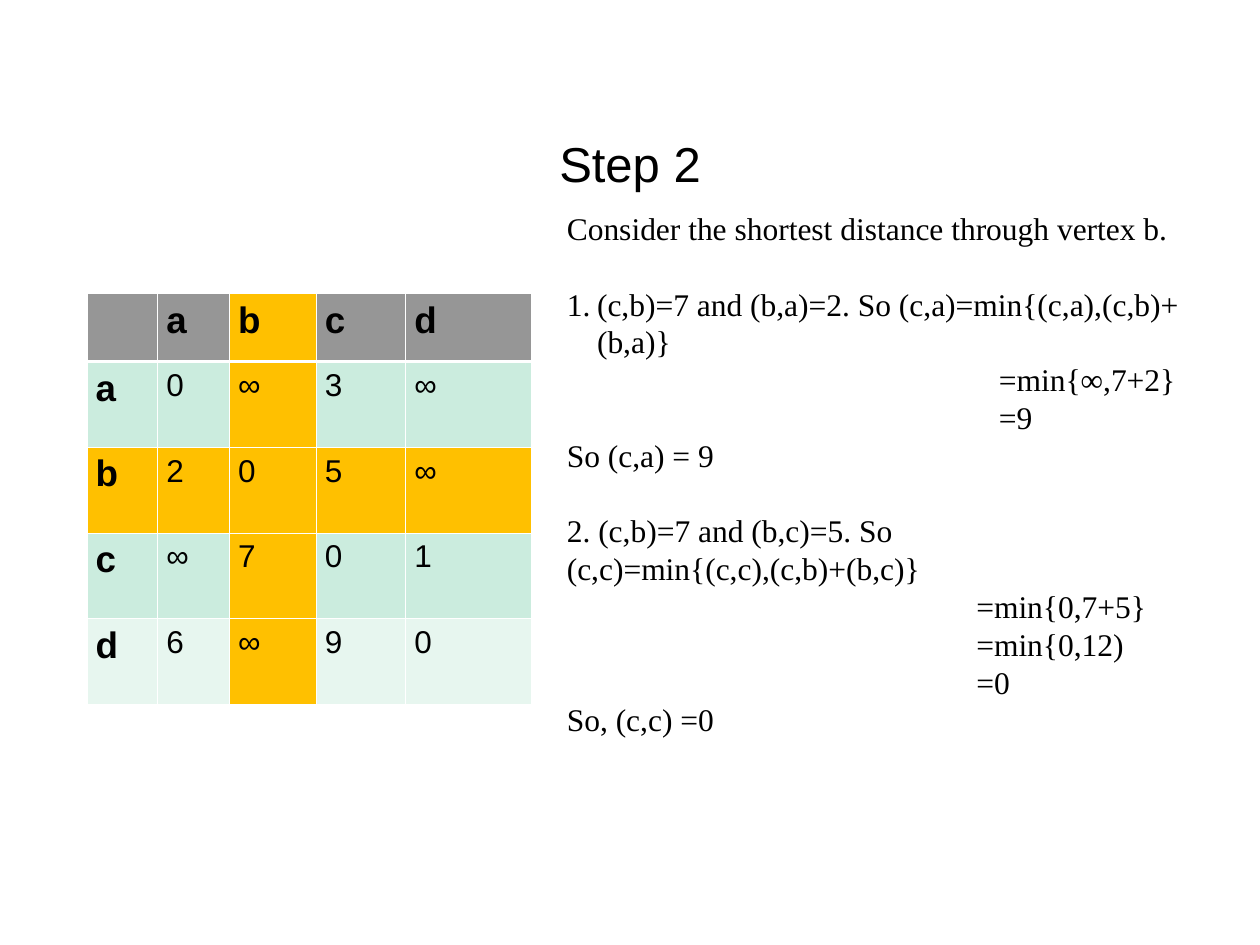
from lxml import etree
from pptx import Presentation
from pptx import util as u
from pptx.dml.color import RGBColor
from pptx.enum import text
from pptx.oxml import ns

COLORS = {
    "ink": "000000",
    "header": "969696",
    "pivot": "FFC000",
    "band": "CBECDE",
    "last_row": "E7F6EF",
    "border": "FFFFFF",
}
VERTICES = ["a", "b", "c", "d"]
PIVOT = "b"
DISTANCES = [
    ["0", "∞", "3", "∞"],
    ["2", "0", "5", "∞"],
    ["∞", "7", "0", "1"],
    ["6", "∞", "9", "0"],
]
COLUMN_WIDTHS = [0.56, 0.57, 0.69, 0.71, 1]
ROW_HEIGHTS = [0.54] + [0.68] * 4
LINE_PITCH = u.Pt(21.6)

# Text, left indent in inches, gap before, numbered
EXPLANATION = [
    ("Consider the shortest distance through vertex b.", 0, False, False),
    ("(c,b)=7 and (b,a)=2. So (c,a)=min{(c,a),(c,b)+(b,a)}", 0.24, True, True),
    ("=min{∞,7+2}", 3.43, False, False),
    ("=9", 3.43, False, False),
    ("So (c,a) = 9", 0, False, False),
    ("2. (c,b)=7 and (b,c)=5. So\n(c,c)=min{(c,c),(c,b)+(b,c)}", 0, True, False),
    ("=min{0,7+5}", 3.25, False, False),
    ("=min{0,12)", 3.25, False, False),
    ("=0", 3.25, False, False),
    ("So, (c,c) =0", 0, False, False),
]


def add_run(paragraph, words, size, font="Arial", bold=False):
    run = paragraph.add_run()
    run.text = words
    run.font.size = u.Pt(size)
    run.font.name = font
    run.font.bold = bold
    run.font.color.rgb = RGBColor.from_string(COLORS["ink"])


def set_title(slide, words):
    title = slide.shapes.title
    title.left, title.top = u.Inches(0.75), u.Inches(0.67)
    title.width, title.height = u.Inches(8.5), u.Inches(1.25)
    title.text_frame.vertical_anchor = text.MSO_ANCHOR.MIDDLE
    paragraph = title.text_frame.paragraphs[0]
    paragraph.alignment = text.PP_ALIGN.CENTER
    add_run(paragraph, words, 28)


def set_borders(cell, row):
    properties = cell._tc.get_or_add_tcPr()
    # A thicker line separates the header from the body
    thick_edges = {0: "lnB", 1: "lnT"}
    for edge in ("lnL", "lnR", "lnT", "lnB"):
        width = 1.47 if thick_edges.get(row) == edge else 0.45
        line = etree.SubElement(properties, ns.qn("a:" + edge), w=str(int(u.Pt(width))))
        fill = etree.SubElement(line, ns.qn("a:solidFill"))
        etree.SubElement(fill, ns.qn("a:srgbClr"), val=COLORS["border"])


def cell_color(row, column):
    pivot = VERTICES.index(PIVOT) + 1
    if pivot in (row, column):
        return COLORS["pivot"]
    if row == 0:
        return COLORS["header"]
    return COLORS["last_row" if row == len(VERTICES) else "band"]


def add_distance_table(slide):
    rows = [[""] + VERTICES]
    rows += [[vertex] + values for vertex, values in zip(VERTICES, DISTANCES)]
    table = slide.shapes.add_table(
        len(rows), len(rows[0]), u.Inches(0.69), u.Inches(2.33),
        u.Inches(sum(COLUMN_WIDTHS)), u.Inches(sum(ROW_HEIGHTS))).table
    table.first_row = table.horz_banding = False
    for column, width in zip(table.columns, COLUMN_WIDTHS):
        column.width = u.Inches(width)
    for table_row, height in zip(table.rows, ROW_HEIGHTS):
        table_row.height = u.Inches(height)
    for row, values in enumerate(rows):
        for column, value in enumerate(values):
            cell = table.cell(row, column)
            cell.margin_left = cell.margin_right = u.Inches(0.07)
            set_borders(cell, row)
            cell.fill.solid()
            cell.fill.fore_color.rgb = RGBColor.from_string(cell_color(row, column))
            if value:
                heading = row == 0 or column == 0
                add_run(cell.text_frame.paragraphs[0], value,
                        21 if heading else 18, bold=heading)


def indent_paragraph(paragraph, indent, numbered):
    properties = paragraph._p.get_or_add_pPr()
    properties.set("marL", str(int(u.Inches(indent))))
    properties.set("indent", str(int(-u.Inches(indent)) if numbered else 0))
    if numbered:
        font = etree.SubElement(properties, ns.qn("a:buFont"))
        font.set("typeface", "Times New Roman")
        etree.SubElement(properties, ns.qn("a:buAutoNum"), type="arabicPeriod")


def add_explanation(slide):
    box = slide.shapes.add_textbox(
        u.Inches(4.4), u.Inches(1.61), u.Inches(5.31), u.Inches(4.6))
    frame = box.text_frame
    frame.word_wrap = True
    for index, (words, indent, gap, numbered) in enumerate(EXPLANATION):
        paragraph = frame.add_paragraph() if index else frame.paragraphs[0]
        paragraph.line_spacing = LINE_PITCH
        paragraph.space_before = LINE_PITCH if gap else u.Pt(0)
        indent_paragraph(paragraph, indent, numbered)
        for number, line in enumerate(words.split("\n")):
            if number:
                paragraph.add_line_break()
            add_run(paragraph, line, 18, "Times New Roman")


def main():
    presentation = Presentation()
    presentation.slide_width = u.Inches(10)
    presentation.slide_height = u.Inches(7.5)
    slide = presentation.slides.add_slide(presentation.slide_layouts[5])
    set_title(slide, "Step 2")
    add_distance_table(slide)
    add_explanation(slide)
    presentation.save("out.pptx")


if __name__ == "__main__":
    main()
